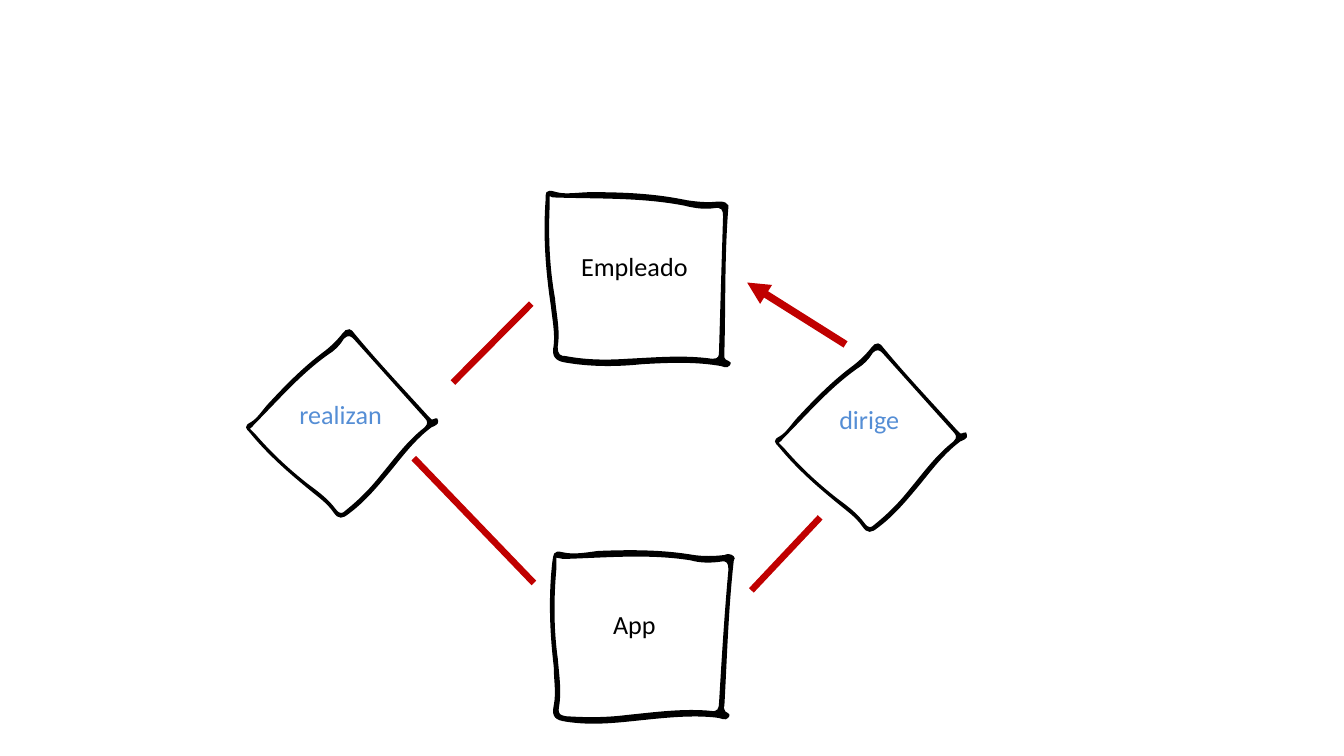
from math import cos, radians, sin

from lxml import etree
from pptx import Presentation, util as u
from pptx.dml.color import RGBColor
from pptx.enum import shapes, text
from pptx.oxml.ns import qn

THEME = {
    "font": "Calibri", "size": 14,
    "ink": "000000", "relation": "558ED5", "link": "C00000",
}

# Hand-drawn outlines in hundredths of an inch on the page: each contour is a
# start point, then one row of two control points and an end point per curve.
EMPLEADO = [
    [(541, 152),
     (542, 152, 542, 153, 542, 154), (539, 191, 540, 227, 539, 263),
     (539, 264, 539, 265, 539, 266), (539, 269, 546, 268, 543, 272),
     (541, 275, 537, 272, 534, 272), (515, 269, 496, 270, 478, 271),
     (459, 273, 440, 273, 422, 270), (414, 269, 410, 266, 412, 257),
     (413, 247, 411, 238, 410, 228), (406, 202, 404, 175, 406, 149),
     (406, 144, 405, 140, 414, 143), (421, 145, 431, 143, 440, 143),
     (464, 143, 487, 144, 511, 149), (518, 150, 526, 151, 534, 150),
     (537, 150, 540, 150, 541, 152)],
    [(409, 146),
     (409, 150, 409, 152, 409, 154), (408, 177, 409, 200, 413, 222),
     (414, 234, 417, 246, 415, 258), (415, 264, 417, 265, 421, 265),
     (437, 268, 452, 268, 467, 267), (488, 266, 509, 264, 530, 267),
     (535, 267, 535, 265, 535, 261), (536, 227, 537, 194, 538, 161),
     (538, 156, 537, 154, 531, 155), (524, 156, 517, 155, 509, 153),
     (478, 147, 446, 148, 414, 147), (412, 147, 410, 147, 409, 146)],
]
APP = [
    [(546, 414),
     (547, 415, 547, 416, 546, 417), (542, 453, 541, 489, 539, 525),
     (539, 526, 538, 527, 539, 528), (539, 531, 545, 530, 542, 534),
     (540, 537, 536, 534, 533, 534), (515, 532, 496, 534, 477, 536),
     (458, 538, 440, 540, 421, 537), (414, 536, 410, 534, 412, 525),
     (414, 515, 412, 506, 412, 496), (409, 470, 408, 444, 411, 418),
     (412, 413, 411, 409, 419, 411), (427, 413, 437, 411, 445, 410),
     (469, 409, 493, 409, 516, 413), (523, 414, 531, 414, 539, 413),
     (541, 412, 544, 412, 546, 414)],
    [(414, 415),
     (414, 418, 414, 421, 414, 423), (412, 446, 412, 468, 415, 490),
     (416, 502, 418, 514, 416, 526), (415, 532, 417, 532, 421, 533),
     (437, 534, 451, 534, 467, 532), (487, 530, 509, 527, 529, 529),
     (534, 530, 535, 527, 535, 523), (537, 490, 539, 457, 542, 424),
     (542, 419, 541, 417, 536, 418), (529, 419, 521, 419, 514, 417),
     (483, 412, 451, 415, 419, 416), (418, 416, 416, 415, 414, 415)],
]
DIAMOND = [
    [(260, 245),
     (261, 245, 261, 245, 262, 246), (280, 268, 300, 289, 319, 310),
     (320, 311, 320, 311, 321, 312), (322, 313, 326, 309, 326, 313),
     (327, 316, 323, 317, 321, 318), (309, 327, 300, 339, 291, 350),
     (281, 362, 272, 373, 260, 382), (255, 386, 252, 387, 248, 381),
     (243, 374, 237, 370, 231, 365), (215, 352, 199, 338, 186, 322),
     (183, 319, 181, 317, 187, 314), (192, 311, 196, 304, 201, 299),
     (214, 285, 227, 272, 242, 261), (247, 257, 251, 253, 255, 248),
     (256, 246, 258, 245, 260, 245)],
    [(186, 319),
     (188, 321, 189, 322, 190, 323), (202, 337, 215, 349, 229, 360),
     (237, 366, 244, 371, 250, 379), (253, 383, 255, 382, 257, 380),
     (267, 372, 275, 364, 283, 354), (293, 342, 303, 328, 316, 318),
     (319, 315, 318, 313, 316, 311), (298, 291, 281, 272, 263, 252),
     (261, 250, 259, 249, 256, 252), (253, 257, 249, 261, 244, 264),
     (223, 279, 207, 298, 189, 316), (189, 317, 187, 318, 186, 319)],
]
SKETCH_UNIT = u.Cm(0.0254)
DIAMOND_FRAME = (182, 243, 142, 146)

# From back to front.
# sketch: outline, frame and shift in sketch units, rotation in degrees
# link: from and to in cm, width in points, arrowhead at the end
# label: wording, left and top in cm, colour
PARTS = [
    ("sketch", EMPLEADO, (387, 111, 174, 192), (0, 0), 315.4),
    ("sketch", APP, (385, 381, 181, 182), (0, 0), 315.4),
    ("link", (10.04, 5.74), (8.56, 7.23), 3.5, False),
    ("label", "App", 8.33, 11.38, "ink"),
    ("label", "Empleado", 8.33, 4.6, "ink"),
    ("sketch", DIAMOND, DIAMOND_FRAME, (0, 0), 270),
    ("link", (10.09, 11.02), (7.82, 8.66), 3.5, False),
    ("label", "realizan", 2.78, 7.41, "relation"),
    ("link", (15.98, 6.51), (14.12, 5.34), 4, True),
    ("sketch", DIAMOND, DIAMOND_FRAME, (393.5, 10.5), 270),
    ("label", "dirige", 12.77, 7.5, "relation"),
    ("link", (14.2, 11.16), (15.5, 9.78), 3.5, False),
]
LABEL_SIZE = u.Cm(7.32), u.Cm(0.86)


def colour(name):
    return RGBColor.from_string(THEME[name])


def to_frame(point, frame, rotation):
    """Turn a page point back into the unrotated frame, in EMU."""
    left, top, width, height = frame
    x, y = point[0] - left - width / 2, point[1] - top - height / 2
    c, s = cos(radians(rotation)), sin(radians(rotation))
    return (round((x * c + y * s + width / 2) * SKETCH_UNIT),
            round((y * c - x * s + height / 2) * SKETCH_UNIT))


def add_path_step(path, tag, points):
    step = etree.SubElement(path, qn(tag))
    for x, y in points:
        etree.SubElement(step, qn("a:pt"), x=str(x), y=str(y))


def add_sketch(page, outline, frame, shift, rotation):
    contours = [[[to_frame(row[i:i + 2], frame, rotation)
                  for i in range(0, len(row), 2)]
                 for row in contour] for contour in outline]
    builder = page.shapes.build_freeform(*contours[0][0][0], scale=1.0)
    builder.add_line_segments([row[-1] for row in contours[0][1:]])
    sketch = builder.convert_to_shape()

    left, top, width, height = frame
    sketch.left = round((left + shift[0]) * SKETCH_UNIT)
    sketch.top = round((top + shift[1]) * SKETCH_UNIT)
    sketch.width, sketch.height = width * SKETCH_UNIT, height * SKETCH_UNIT
    sketch.rotation = rotation

    # python-pptx draws straight segments only, so the curves are set in XML
    path = sketch._element.find(".//" + qn("a:path"))
    for step in list(path):
        path.remove(step)
    path.set("w", str(sketch.width))
    path.set("h", str(sketch.height))
    for start, *curves in contours:
        add_path_step(path, "a:moveTo", start)
        for curve in curves:
            add_path_step(path, "a:cubicBezTo", curve)
        add_path_step(path, "a:close", [])

    sketch.shadow.inherit = False
    sketch.fill.solid()
    sketch.fill.fore_color.rgb = colour("ink")
    sketch.line.fill.background()


def add_label(page, wording, left, top, shade):
    box = page.shapes.add_textbox(u.Cm(left), u.Cm(top), *LABEL_SIZE)
    frame = box.text_frame
    frame.word_wrap = True
    frame.auto_size = text.MSO_AUTO_SIZE.SHAPE_TO_FIT_TEXT
    para = frame.paragraphs[0]
    para.alignment = text.PP_ALIGN.CENTER
    span = para.add_run()
    span.text = wording
    span.font.name = THEME["font"]
    span.font.size = u.Pt(THEME["size"])
    span.font.color.rgb = colour(shade)


def add_link(page, start, end, width, arrow):
    link = page.shapes.add_connector(
        shapes.MSO_CONNECTOR.STRAIGHT, *map(u.Cm, start + end))
    link.line.color.rgb = colour("link")
    link.line.width = u.Pt(width)
    if arrow:
        line = link._element.spPr.find(qn("a:ln"))
        etree.SubElement(line, qn("a:tailEnd"), type="triangle")
    etree.SubElement(link._element.spPr, qn("a:effectLst"))


def main():
    deck = Presentation()
    deck.slide_width, deck.slide_height = u.Cm(25.4), u.Cm(14.29)
    page = deck.slides.add_slide(deck.slide_layouts.get_by_name("Blank"))
    adders = {"sketch": add_sketch, "link": add_link, "label": add_label}
    for kind, *details in PARTS:
        adders[kind](page, *details)
    deck.save("out.pptx")


if __name__ == "__main__":
    main()
